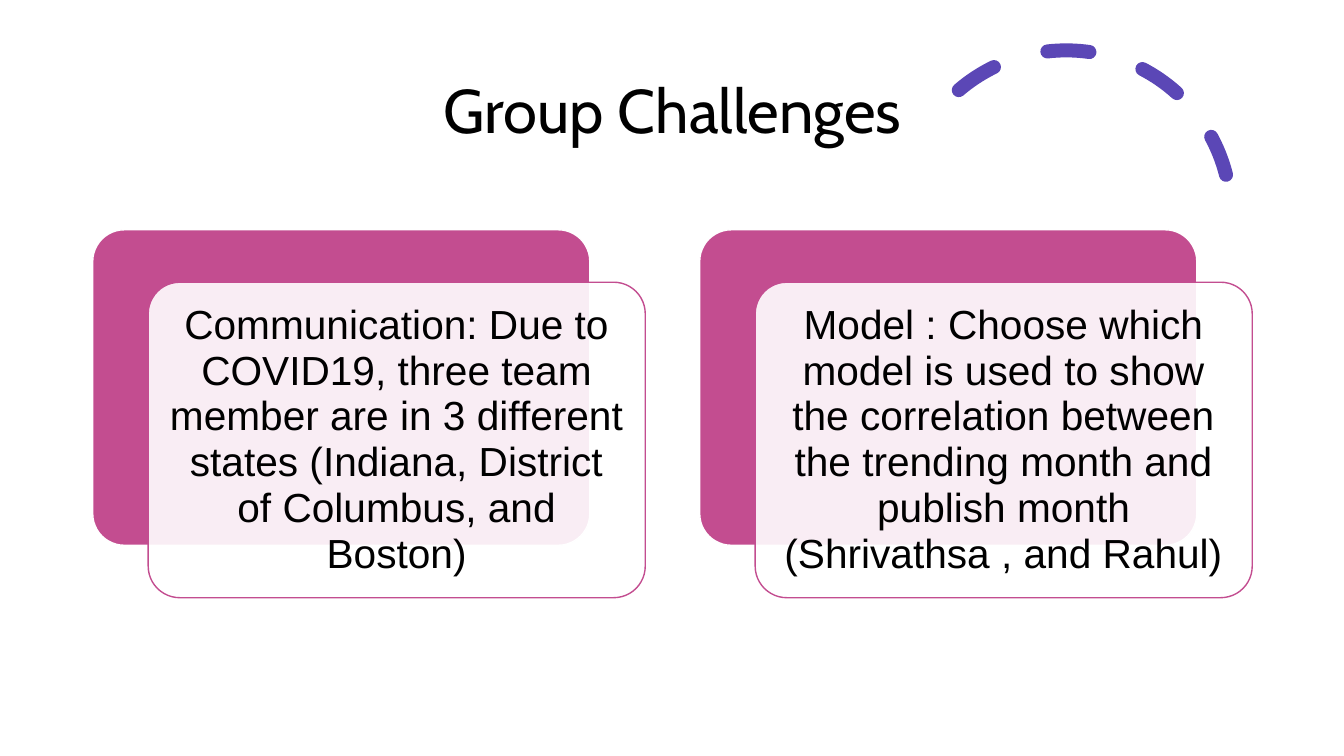
from lxml.etree import SubElement
from pptx import Presentation
from pptx.dml.color import RGBColor
from pptx.enum.shapes import MSO_SHAPE
from pptx.enum.dml import MSO_LINE
from pptx.enum.text import MSO_ANCHOR, PP_ALIGN
from pptx.oxml.ns import qn
from pptx.util import Inches, Pt

# Content
TITLE = "Group Challenges"
CARDS = [
    "Communication: Due to COVID19, three team member are in 3 different "
    "states (Indiana, District of Columbus, and Boston)",
    "Model : Choose which model is used to show the correlation between "
    "the trending month and publish month (Shrivathsa , and Rahul)",
]
COLORS = {"pink": "C34D90", "purple": "5B47B6", "white": "FFFFFF", "black": "000000"}

# Layout in inches
LEFT, TOP, STEP = 0.92, 2.28, 6.02
WIDE, HIGH = 4.93, 3.13
SHIFT_X, SHIFT_Y = 0.55, 0.52
PAD = 0.09


def color(name):
    return RGBColor.from_string(COLORS[name])


def add_text(slide, text, box, font, size, spacing, inset):
    frame = slide.shapes.add_textbox(*map(Inches, box)).text_frame
    frame.word_wrap = True
    frame.vertical_anchor = MSO_ANCHOR.MIDDLE
    frame.margin_left = frame.margin_right = Inches(inset[0])
    frame.margin_top = frame.margin_bottom = Inches(inset[1])
    para = frame.paragraphs[0]
    para.alignment = PP_ALIGN.CENTER
    para.line_spacing = spacing
    run = para.add_run()
    run.text = text
    run.font.name = font
    run.font.size = Pt(size)
    run.font.color.rgb = color("black")


def add_panel(slide, x, y, fill, line, alpha=None):
    panel = slide.shapes.add_shape(
        MSO_SHAPE.ROUNDED_RECTANGLE, *map(Inches, (x, y, WIDE, HIGH)))
    panel.shadow.inherit = False
    panel.adjustments[0] = 0.1
    panel.fill.solid()
    panel.fill.fore_color.rgb = color(fill)
    panel.line.color.rgb = color(line)
    panel.line.width = Pt(1)
    if alpha:
        tint = panel.fill._xPr.find(qn("a:solidFill"))[0]
        SubElement(tint, qn("a:alpha"), val=str(alpha * 1000))


def add_arc(slide):
    arc = slide.shapes.add_shape(
        MSO_SHAPE.ARC, *map(Inches, (8.94, 0.5, 3.27, 3.27)))
    arc.shadow.inherit = False
    arc.adjustments[0] = 146.13
    arc.adjustments[1] = 0
    arc.rotation = 345.8
    arc.fill.background()
    arc.line.color.rgb = color("purple")
    arc.line.width = Pt(10)
    arc.line.dash_style = MSO_LINE.DASH
    arc.line._get_or_add_ln().set("cap", "rnd")


def main():
    deck = Presentation()
    deck.slide_width, deck.slide_height = Inches(13.33), Inches(7.5)
    slide = deck.slides.add_slide(deck.slide_layouts[6])

    # Dashed arc and title
    add_arc(slide)
    add_text(slide, TITLE, (LEFT, 0.4, 11.5, 1.45), "Cabin", 44, 0.9, (0.1, 0.05))

    # Cards: a solid panel behind a translucent one with text
    for i, text in enumerate(CARDS):
        x = LEFT + i * STEP
        front_x, front_y = x + SHIFT_X, TOP + SHIFT_Y
        add_panel(slide, x, TOP, "pink", "white")
        add_panel(slide, front_x, front_y, "white", "pink", alpha=90)
        box = (front_x + PAD, front_y + PAD, WIDE - 2 * PAD, HIGH - 2 * PAD)
        add_text(slide, text, box, "Arial", 29, 0.94, (0.12, 0.12))

    deck.save("out.pptx")


if __name__ == "__main__":
    main()
